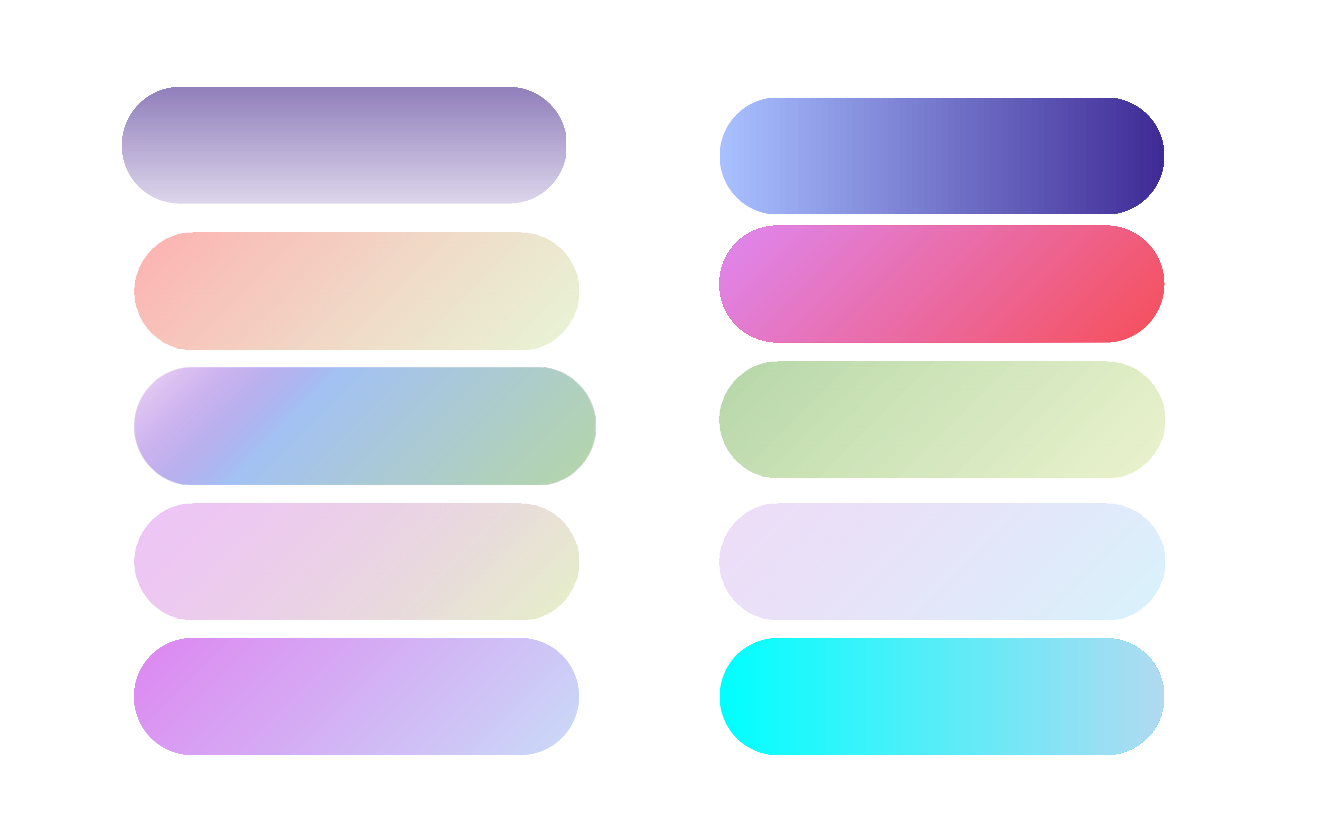
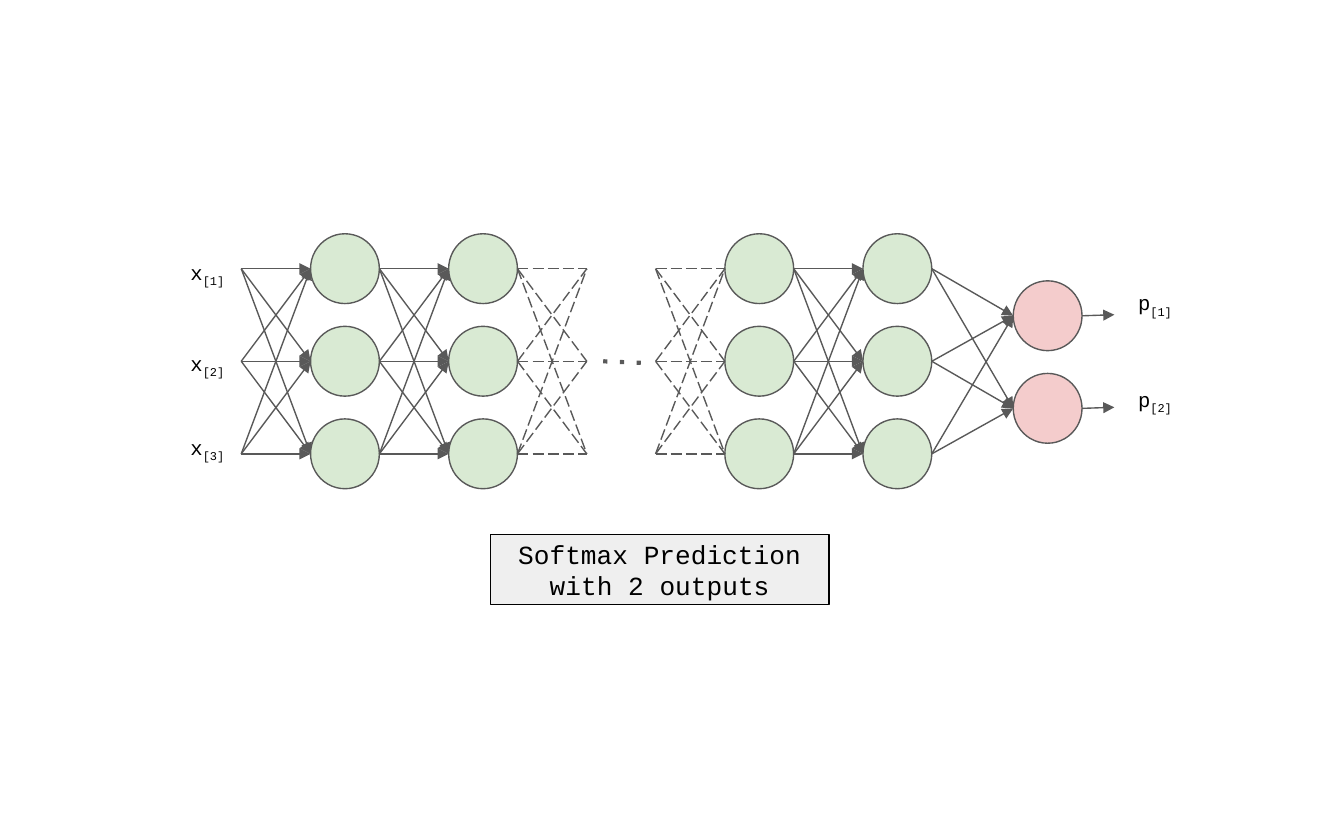
from itertools import product

from lxml import etree
from pptx import Presentation
from pptx import util as u
from pptx.dml.color import RGBColor
from pptx.enum import shapes, text
from pptx.oxml import ns

FONT = "Courier New"
BLACK = RGBColor(0x00, 0x00, 0x00)
GREY = RGBColor(0x59, 0x59, 0x59)
PALE_GREY = RGBColor(0xEF, 0xEF, 0xEF)
PALE_GREEN = RGBColor(0xD9, 0xEA, 0xD3)
PALE_RED = RGBColor(0xF4, 0xCC, 0xCC)
LAVENDER = RGBColor(0xDB, 0xD4, 0xEB)
MAUVE = RGBColor(0x91, 0x80, 0xBB)
PERIWINKLE = RGBColor(0xA8, 0xC0, 0xFF)
INDIGO = RGBColor(0x3F, 0x2B, 0x96)
LIME = RGBColor(0xD8, 0xED, 0xBA)
SALMON = RGBColor(0xFE, 0x96, 0x96)
SAGE = RGBColor(0xB6, 0xD7, 0xA8)
SKY = RGBColor(0xA4, 0xC2, 0xF4)
VIOLET = RGBColor(0x9F, 0x39, 0xD5)
PISTACHIO = RGBColor(0xE0, 0xED, 0xBA)
ORCHID = RGBColor(0xDE, 0x87, 0xF1)
ICE = RGBColor(0xC9, 0xDA, 0xF8)
CORAL = RGBColor(0xF6, 0x4F, 0x59)
AZURE = RGBColor(0x69, 0xD4, 0xF4)
CYAN = RGBColor(0x00, 0xFF, 0xFF)
POWDER = RGBColor(0xB0, 0xDA, 0xF1)

RIGHTWARD, UPWARD, TO_TOP_LEFT = 0, 90, 135
LEFT_COLUMN, RIGHT_COLUMN = 2.54, 13.6
PILL_WIDTH, PILL_HEIGHT = 8.4, 2.2
WIDE_PILL = 8.72

# left, top, width, angle, stops of (position %, colour, opacity %)
PILLS = [
    (2.31, 1.65, PILL_WIDTH, UPWARD, [(0, LAVENDER, 100), (100, MAUVE, 100)]),
    (RIGHT_COLUMN, 1.85, PILL_WIDTH, RIGHTWARD, [(0, PERIWINKLE, 100), (100, INDIGO, 100)]),
    (LEFT_COLUMN, 4.4, PILL_WIDTH, TO_TOP_LEFT, [(0, LIME, 58), (100, SALMON, 74)]),
    (LEFT_COLUMN, 6.96, WIDE_PILL, TO_TOP_LEFT, [(0, SAGE, 100), (64, SKY, 100), (100, VIOLET, 17)]),
    (LEFT_COLUMN, 9.52, PILL_WIDTH, TO_TOP_LEFT, [(0, PISTACHIO, 79), (100, ORCHID, 48)]),
    (LEFT_COLUMN, 12.07, PILL_WIDTH, TO_TOP_LEFT, [(0, ICE, 100), (100, ORCHID, 100)]),
    (RIGHT_COLUMN, 4.27, PILL_WIDTH, TO_TOP_LEFT, [(0, CORAL, 100), (100, ORCHID, 100)]),
    (RIGHT_COLUMN, 6.83, PILL_WIDTH, TO_TOP_LEFT, [(0, PISTACHIO, 71), (100, SAGE, 100)]),
    (RIGHT_COLUMN, 9.52, PILL_WIDTH, TO_TOP_LEFT, [(0, AZURE, 26), (100, VIOLET, 17)]),
    (RIGHT_COLUMN, 12.07, PILL_WIDTH, RIGHTWARD, [(0, CYAN, 100), (100, POWDER, 100)]),
]

CAPTION = "Softmax Prediction with 2 outputs"
LABELS = [
    ("x", "[1]", 3.35, 4.91),
    ("x", "[2]", 3.35, 6.63),
    ("x", "[3]", 3.35, 8.23),
    ("p", "[1]", 21.26, 5.49),
    ("p", "[2]", 21.26, 7.32),
]
NODE_WIDTH, NODE_HEIGHT = 1.3, 1.32
INPUT_X, LAYER_STEP, LINK_WIDTH = 4.56, 2.61, 1.31
LINK_STYLES = ["arrow", "arrow", "dashed", "dashed", "arrow"]
NODE_LAYERS = [0, 1, 3, 4]
HIDDEN_ROWS = [5.08 + 1.75 * row for row in range(3)]
OUTPUT_ROWS = [5.97, 7.72]
OUTPUT_X = 19.15


def add_drawing_child(parent, tag, **attributes):
    return etree.SubElement(parent, ns.qn(tag), attributes)


def add_box(container, kind, left, top, width, height, fill=None, line=None):
    shape = container.add_shape(kind, u.Cm(left), u.Cm(top), u.Cm(width), u.Cm(height))
    shape.shadow.inherit = False
    if fill is not None:
        shape.fill.solid()
        shape.fill.fore_color.rgb = fill
    if line is None:
        shape.line.fill.background()
    else:
        shape.line.color.rgb = line
        shape.line.width = u.Pt(0.75)
    return shape


def add_pill(slide, left, top, width, angle, stops):
    pill = add_box(slide.shapes, shapes.MSO_SHAPE.ROUNDED_RECTANGLE, left, top, width, PILL_HEIGHT)
    pill.adjustments[0] = 0.5
    pill.fill.gradient()
    pill.fill.gradient_angle = angle
    stop_list = pill._element.spPr.find(".//" + ns.qn("a:gsLst"))
    for stop in list(stop_list):
        stop_list.remove(stop)
    for position, color, opacity in stops:
        stop = add_drawing_child(stop_list, "a:gs", pos=str(position * 1000))
        value = add_drawing_child(stop, "a:srgbClr", val=str(color))
        if opacity < 100:
            add_drawing_child(value, "a:alpha", val=str(opacity * 1000))


def add_line(container, start, end, arrow=False, dash=None, width=0.75):
    points = [u.Cm(value) for value in (*start, *end)]
    connector = container.add_connector(shapes.MSO_CONNECTOR.STRAIGHT, *points)
    connector.line.color.rgb = GREY
    connector.line.width = u.Pt(width)
    line = connector.line._get_or_add_ln()
    if dash:
        add_drawing_child(line, "a:prstDash", val=dash)
    if arrow:
        add_drawing_child(line, "a:tailEnd", type="triangle")
    add_drawing_child(connector._element.spPr, "a:effectLst")


def add_links(container, start_x, start_rows, end_x, end_rows, style):
    for start_y, end_y in product(start_rows, end_rows):
        add_line(container, (start_x, start_y), (end_x, end_y),
                 arrow=style == "arrow", dash="lgDash" if style == "dashed" else None)


def add_nodes(container, left, rows, fill):
    for center in rows:
        add_box(container, shapes.MSO_SHAPE.OVAL, left, center - NODE_HEIGHT / 2,
                NODE_WIDTH, NODE_HEIGHT, fill, GREY)


def prepare_frame(shape, anchor):
    frame = shape.text_frame
    frame.word_wrap = True
    frame.vertical_anchor = anchor
    frame.margin_left = frame.margin_right = u.Cm(0.25)
    frame.margin_top = frame.margin_bottom = 0
    return frame.paragraphs[0]


def add_run(paragraph, words, size):
    run = paragraph.add_run()
    run.text = words
    run.font.name = FONT
    run.font.size = u.Pt(size)
    run.font.color.rgb = BLACK
    return run


def add_label(container, name, index, left, top):
    box = container.add_textbox(u.Cm(left), u.Cm(top), u.Cm(1.3), u.Cm(0.79))
    paragraph = prepare_frame(box, text.MSO_ANCHOR.TOP)
    add_run(paragraph, name, 11)
    subscript = add_run(paragraph, index, 11)
    subscript.font._element.set("baseline", "-25000")


def build_palette(slide):
    for pill in PILLS:
        add_pill(slide, *pill)


def build_network(slide):
    network = slide.shapes.add_group_shape().shapes
    for layer in NODE_LAYERS:
        left = INPUT_X + layer * LAYER_STEP + LINK_WIDTH
        add_nodes(network, left, HIDDEN_ROWS, PALE_GREEN)
    add_nodes(network, OUTPUT_X, OUTPUT_ROWS, PALE_RED)

    for layer, style in enumerate(LINK_STYLES):
        start_x = INPUT_X + layer * LAYER_STEP
        add_links(network, start_x, HIDDEN_ROWS, start_x + LINK_WIDTH, HIDDEN_ROWS, style)
    last_x = INPUT_X + len(LINK_STYLES) * LAYER_STEP
    add_links(network, last_x, HIDDEN_ROWS, OUTPUT_X, OUTPUT_ROWS, "arrow")
    for center in OUTPUT_ROWS:
        add_line(network, (OUTPUT_X + NODE_WIDTH, center), (21.06, center - 0.02), arrow=True)
    for label in LABELS:
        add_label(network, *label)

    caption = add_box(slide.shapes, shapes.MSO_SHAPE.RECTANGLE, 9.27, 10.11, 6.4, 1.32,
                      PALE_GREY, BLACK)
    paragraph = prepare_frame(caption, text.MSO_ANCHOR.MIDDLE)
    paragraph.alignment = text.PP_ALIGN.CENTER
    add_run(paragraph, CAPTION, 14)
    add_line(slide.shapes, (11.4, 6.83), (12.12, 6.86), dash="dot", width=2.25)


def main():
    presentation = Presentation()
    presentation.slide_width = u.Cm(25.4)
    presentation.slide_height = u.Cm(15.88)
    for build in (build_palette, build_network):
        build(presentation.slides.add_slide(presentation.slide_layouts[6]))
    presentation.save("out.pptx")


if __name__ == "__main__":
    main()
